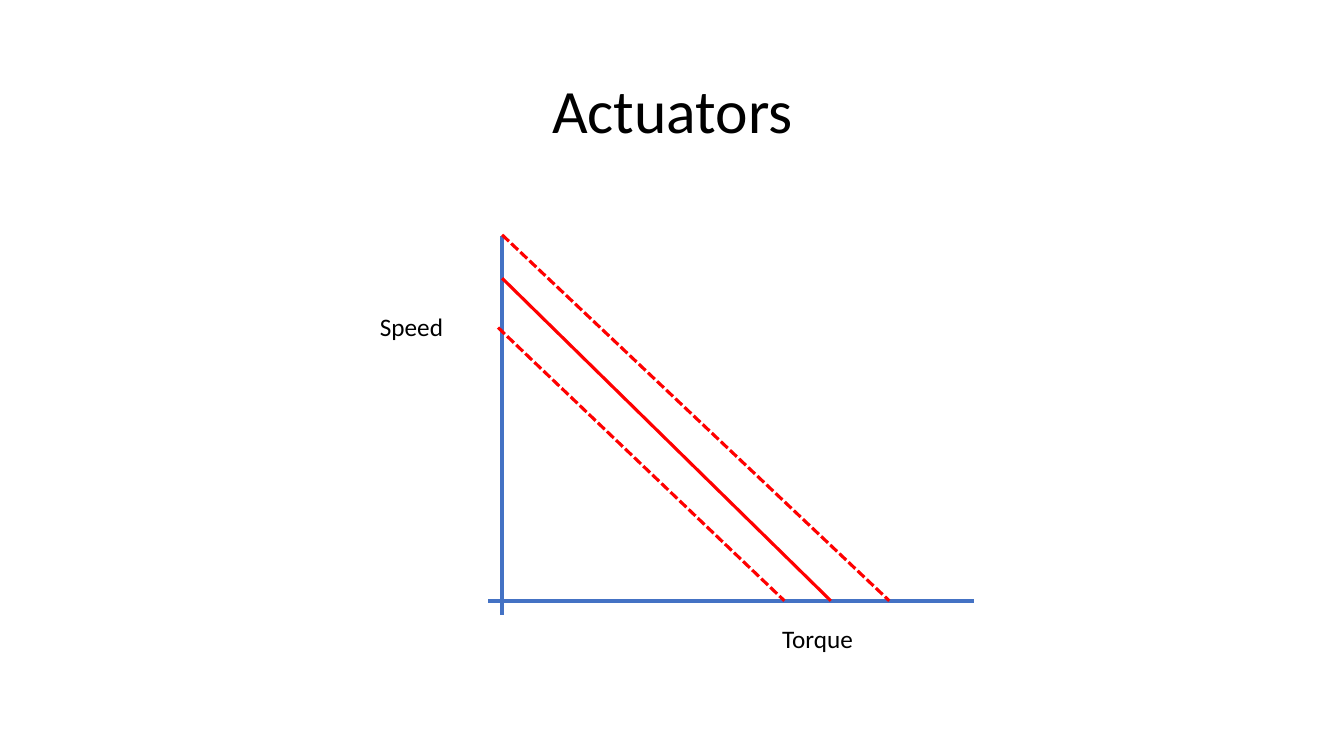
import dataclasses

import pptx
import pptx.dml.color
import pptx.enum.dml
import pptx.enum.shapes
import pptx.enum.text
import pptx.oxml
import pptx.oxml.ns
import pptx.util

Inches = pptx.util.Inches
Pt = pptx.util.Pt


@dataclasses.dataclass(frozen=True)
class Theme:
    font: str = "Calibri"
    text: str = "000000"
    axis: str = "4472C4"
    curve: str = "FF0000"
    title_size: float = 44
    label_size: float = 18
    axis_width: float = 3
    curve_width: float = 2.25


THEME = Theme()


def rgb(value):
    return pptx.dml.color.RGBColor.from_string(value)


def add_run(p, text, size):
    r = p.add_run()
    r.text = text
    r.font.name = THEME.font
    r.font.size = Pt(size)
    r.font.color.rgb = rgb(THEME.text)


def add_line(shapes, start, end, color, width, dashed=False):
    line = shapes.add_connector(
        pptx.enum.shapes.MSO_CONNECTOR.STRAIGHT,
        *(Inches(v) for v in (*start, *end)))
    line.line.color.rgb = rgb(color)
    line.line.width = Pt(width)
    if dashed:
        line.line.dash_style = pptx.enum.dml.MSO_LINE.SQUARE_DOT
        dash = line.line._ln.find(pptx.oxml.ns.qn("a:prstDash"))
        dash.set("val", "sysDash")
    sp_pr = line._element.spPr
    sp_pr.append(pptx.oxml.parse_xml(
        f'<a:effectLst {pptx.oxml.ns.nsdecls("a")}/>'))


def add_label(shapes, text, left, top):
    sp = shapes.add_textbox(
        Inches(left), Inches(top), Inches(1.16), Inches(0.4))
    tf = sp.text_frame
    tf.word_wrap = True
    tf.auto_size = pptx.enum.text.MSO_AUTO_SIZE.SHAPE_TO_FIT_TEXT
    add_run(tf.paragraphs[0], text, THEME.label_size)


def fill_title(s, text, left, top, width, height):
    sp = s.shapes.title
    sp.left, sp.top = Inches(left), Inches(top)
    sp.width, sp.height = Inches(width), Inches(height)
    tf = sp.text_frame
    tf.vertical_anchor = pptx.enum.text.MSO_ANCHOR.MIDDLE
    p = tf.paragraphs[0]
    p.alignment = pptx.enum.text.PP_ALIGN.CENTER
    p.line_spacing = 0.9
    add_run(p, text, THEME.title_size)


def add_speed_torque_plot(s, left, top, width, height):
    shapes = s.shapes.add_group_shape().shapes
    overhang = 0.14
    x0, y0 = left + overhang, top + height - overhang

    add_line(shapes, (x0, top), (x0, top + height),
             THEME.axis, THEME.axis_width)
    add_line(shapes, (left + width, y0), (left, y0),
             THEME.axis, THEME.axis_width)
    add_label(shapes, "Speed", x0 - 1.31, top + 0.7)
    add_label(shapes, "Torque", x0 + 2.68, y0 + 0.17)

    curves = [
        (-0.04, 2.71, 2.8, True),
        (0, 3.63, 3.84, True),
        (0, 3.2, 3.26, False),
    ]
    for offset, speed, torque, dashed in curves:
        add_line(shapes, (x0 + offset, y0 - speed), (x0 + torque, y0),
                 THEME.curve, THEME.curve_width, dashed)


def main():
    prs = pptx.Presentation()
    prs.slide_width = Inches(13.33)
    prs.slide_height = Inches(7.5)
    s = prs.slides.add_slide(prs.slide_layouts[5])
    fill_title(s, "Actuators", 0.92, 0.4, 11.5, 1.45)
    add_speed_torque_plot(s, 4.84, 2.34, 4.82, 3.76)
    prs.save("out.pptx")


if __name__ == "__main__":
    main()
